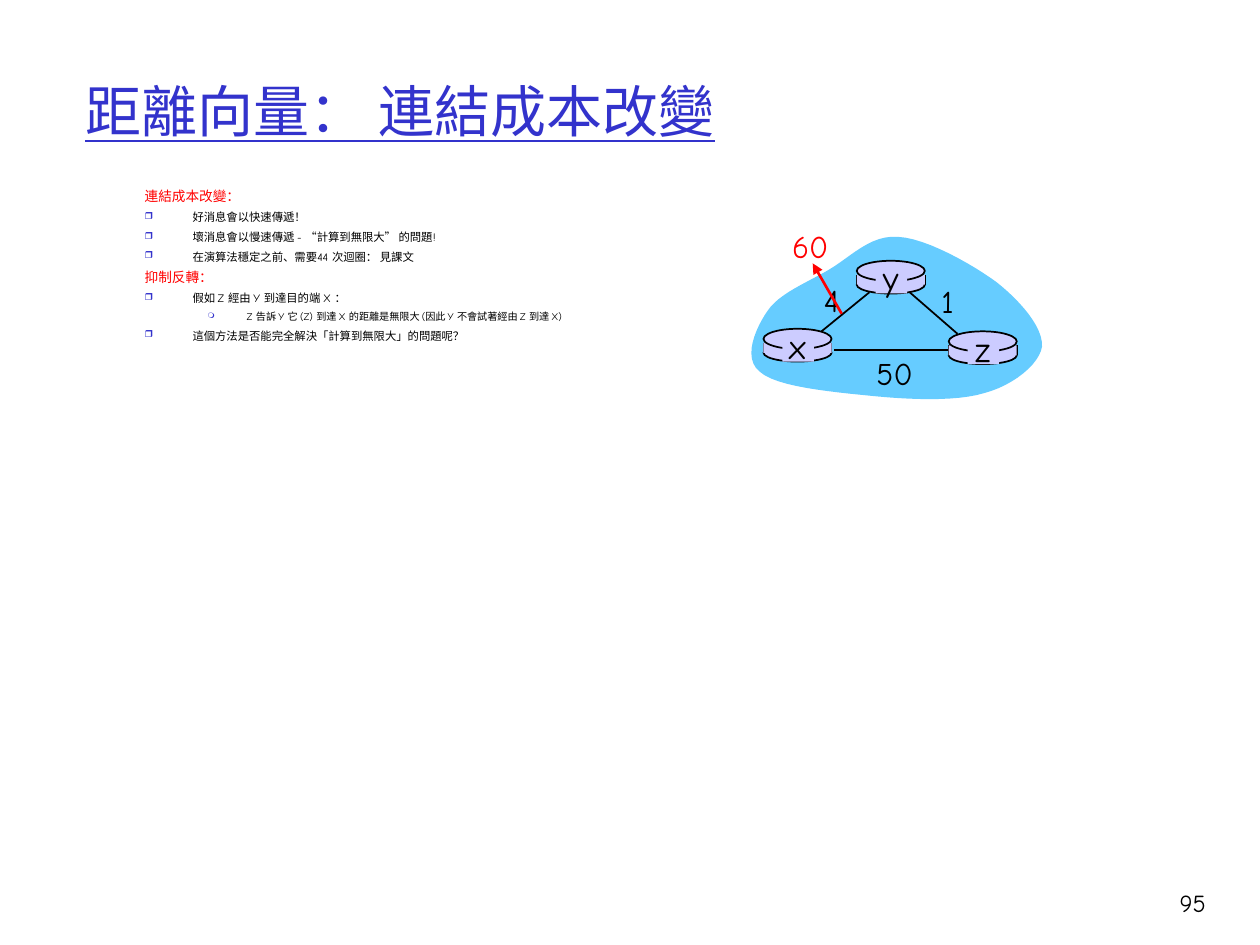
from lxml import etree
from pptx import Presentation
from pptx.dml.color import RGBColor
from pptx.enum.shapes import MSO_CONNECTOR, MSO_SHAPE
from pptx.enum.text import MSO_ANCHOR, PP_ALIGN
from pptx.oxml.ns import qn
from pptx.util import Inches, Pt

STRAIGHT = MSO_CONNECTOR.STRAIGHT
OVAL, RECTANGLE = MSO_SHAPE.OVAL, MSO_SHAPE.RECTANGLE
TOP, MIDDLE = MSO_ANCHOR.TOP, MSO_ANCHOR.MIDDLE
LEFT, CENTER, RIGHT = PP_ALIGN.LEFT, PP_ALIGN.CENTER, PP_ALIGN.RIGHT

FONT = "Comic Neue"
BLACK = RGBColor(0x00, 0x00, 0x00)
RED = RGBColor(0xFF, 0x00, 0x00)
BLUE = RGBColor(0x33, 0x33, 0xCC)
SKY = RGBColor(0x66, 0xCC, 0xFF)
LAVENDER = RGBColor(0xCC, 0xCC, 0xFF)

TITLE = "距離向量： 連結成本改變"
PAGE_NUMBER = "95"
BODY = [
    ("heading", "連結成本改變："),
    ("point", "好消息會以快速傳遞！"),
    ("point", "壞消息會以慢速傳遞 - “計算到無限大” 的問題!"),
    ("point", "在演算法穩定之前、需要44 次迴圈： 見課文"),
    ("heading", "抑制反轉："),
    ("point", "假如 Z 經由 Y 到達目的端 X ："),
    ("detail", "Z 告訴 Y 它 (Z) 到達 X 的距離是無限大 (因此 Y 不會試著經由 Z 到達 X)"),
    ("point", "這個方法是否能完全解決「計算到無限大」的問題呢？"),
]
STYLES = {
    "heading": dict(level=0, size=7.8, color=RED, before=5, bullet=None),
    "point": dict(level=0, size=6.5, color=BLACK, before=5, bullet=("❒", 85, 0.38, 0.38)),
    "detail": dict(level=1, size=5.8, color=BLACK, before=4.5, bullet=("❍", 75, 0.81, 0.31)),
}

CLOUD_START = (6.09, 2.47)
CLOUD_CURVES = [
    ((6.18, 2.33), (6.41, 2.24), (6.58, 2.14)),
    ((6.75, 2.04), (6.91, 1.86), (7.13, 1.88)),
    ((7.35, 1.89), (7.72, 2.10), (7.91, 2.24)),
    ((8.10, 2.39), (8.28, 2.60), (8.27, 2.75)),
    ((8.25, 2.89), (8.04, 3.06), (7.81, 3.12)),
    ((7.58, 3.19), (7.19, 3.17), (6.90, 3.14)),
    ((6.60, 3.11), (6.16, 3.07), (6.03, 2.95)),
    ((5.89, 2.84), (6.00, 2.60), (6.09, 2.47)),
]
CURVE_STEPS = 12
LINKS = [
    ((6.52, 2.63), (6.90, 2.32)),
    ((7.22, 2.32), (7.60, 2.65)),
    ((7.55, 2.78), (6.62, 2.78)),
]
ROUTERS = [("x", 6.06, 2.61), ("z", 7.53, 2.63), ("y", 6.80, 2.07)]
ROUTER_WIDTH = 0.54
COSTS = [
    ("1", 7.52, 2.19, BLACK),
    ("4", 6.60, 2.18, BLACK),
    ("50", 7.10, 2.76, BLACK),
    ("60", 6.43, 1.75, RED),
]
CHANGE_ARROW = ((6.68, 2.49), (6.45, 2.09))


def add_run(paragraph, text, size, color):
    run = paragraph.add_run()
    run.text = text
    run.font.name = FONT
    run.font.size = Pt(size)
    run.font.color.rgb = color
    return run


def add_box(slide, left, top, width, height, anchor=TOP, wrap=True):
    box = slide.shapes.add_textbox(Inches(left), Inches(top), Inches(width), Inches(height))
    frame = box.text_frame
    frame.word_wrap = wrap
    frame.vertical_anchor = anchor
    return frame


def add_text(slide, text, bounds, size, color, align=LEFT, anchor=TOP, wrap=True):
    paragraph = add_box(slide, *bounds, anchor, wrap).paragraphs[0]
    paragraph.alignment = align
    return add_run(paragraph, text, size, color)


def add_label(slide, text, center, top, size, color):
    bounds = (center - 0.25, top, 0.5, size / 45)
    add_text(slide, text, bounds, size, color, CENTER, wrap=False)


def set_bullet(paragraph, character, percent, margin, hanging):
    properties = paragraph._p.get_or_add_pPr()
    properties.set("marL", str(Inches(margin)))
    properties.set("indent", str(-Inches(hanging)))
    color = etree.SubElement(properties, qn("a:buClr"))
    etree.SubElement(color, qn("a:srgbClr"), val=str(BLUE))
    etree.SubElement(properties, qn("a:buSzPct"), val=str(percent * 1000))
    etree.SubElement(properties, qn("a:buChar"), char=character)


def add_body(slide):
    frame = add_box(slide, 1.05, 1.47, 4.17, 1.63)
    for index, (kind, text) in enumerate(BODY):
        style = STYLES[kind]
        paragraph = frame.add_paragraph() if index else frame.paragraphs[0]
        paragraph.level = style["level"]
        if style["bullet"]:
            set_bullet(paragraph, *style["bullet"])
        paragraph.line_spacing = 0.8
        paragraph.space_before = Pt(style["before"] if index else 0)
        add_run(paragraph, text, style["size"], style["color"])


def add_line(slide, start, end, color=BLACK, width=1, arrow=False):
    points = [Inches(value) for value in (*start, *end)]
    connector = slide.shapes.add_connector(STRAIGHT, *points)
    connector.line.color.rgb = color
    connector.line.width = Pt(width)
    if arrow:
        etree.SubElement(connector.line._get_or_add_ln(), qn("a:tailEnd"), type="triangle")
    etree.SubElement(connector._element.spPr, qn("a:effectLst"))


def paint(shape, fill, outlined=False):
    shape.shadow.inherit = False
    shape.fill.solid()
    shape.fill.fore_color.rgb = fill
    if outlined:
        shape.line.color.rgb = BLACK
        shape.line.width = Pt(1)
    else:
        shape.line.fill.background()


def add_part(slide, kind, left, top, width, height, outlined=False):
    bounds = [Inches(value) for value in (left, top, width, height)]
    paint(slide.shapes.add_shape(kind, *bounds), LAVENDER, outlined)


def add_router(slide, name, left, top):
    add_part(slide, OVAL, left, top + 0.12, ROUTER_WIDTH, 0.14, True)
    for side in (left, left + ROUTER_WIDTH):
        add_line(slide, (side, top + 0.11), (side, top + 0.19))
    add_part(slide, RECTANGLE, left, top + 0.11, ROUTER_WIDTH, 0.08)
    add_part(slide, OVAL, left, top, ROUTER_WIDTH, 0.16, True)
    add_part(slide, RECTANGLE, left + 0.15, top + 0.03, 0.25, 0.23)
    add_label(slide, name, left + ROUTER_WIDTH / 2, top - 0.08, 20, BLACK)


def curve_point(points, t):
    weights = ((1 - t) ** 3, 3 * t * (1 - t) ** 2, 3 * t * t * (1 - t), t ** 3)
    return tuple(
        Inches(sum(weight * point[axis] for weight, point in zip(weights, points)))
        for axis in (0, 1)
    )


def add_cloud(slide):
    outline = []
    start = CLOUD_START
    for curve in CLOUD_CURVES:
        points = (start, *curve)
        outline += [curve_point(points, step / CURVE_STEPS) for step in range(1, CURVE_STEPS + 1)]
        start = curve[-1]
    builder = slide.shapes.build_freeform(*map(Inches, CLOUD_START))
    builder.add_line_segments(outline, close=True)
    paint(builder.convert_to_shape(), SKY)


def main():
    presentation = Presentation()
    presentation.slide_width = Inches(10)
    presentation.slide_height = Inches(7.5)
    slide = presentation.slides.add_slide(presentation.slide_layouts[6])
    title = add_text(slide, TITLE, (0.58, 0.25, 8.5, 1.25), 32, BLUE, anchor=MIDDLE)
    title.font.underline = True
    add_body(slide)
    add_cloud(slide)
    for start, end in LINKS:
        add_line(slide, start, end)
    for router in ROUTERS:
        add_router(slide, *router)
    for text, center, top, color in COSTS:
        add_label(slide, text, center, top, 18, color)
    add_line(slide, *CHANGE_ARROW, RED, 1.5, arrow=True)
    add_text(slide, PAGE_NUMBER, (8.93, 7, 0.74, 0.5), 14, BLACK, RIGHT)
    presentation.save("out.pptx")


if __name__ == "__main__":
    main()
